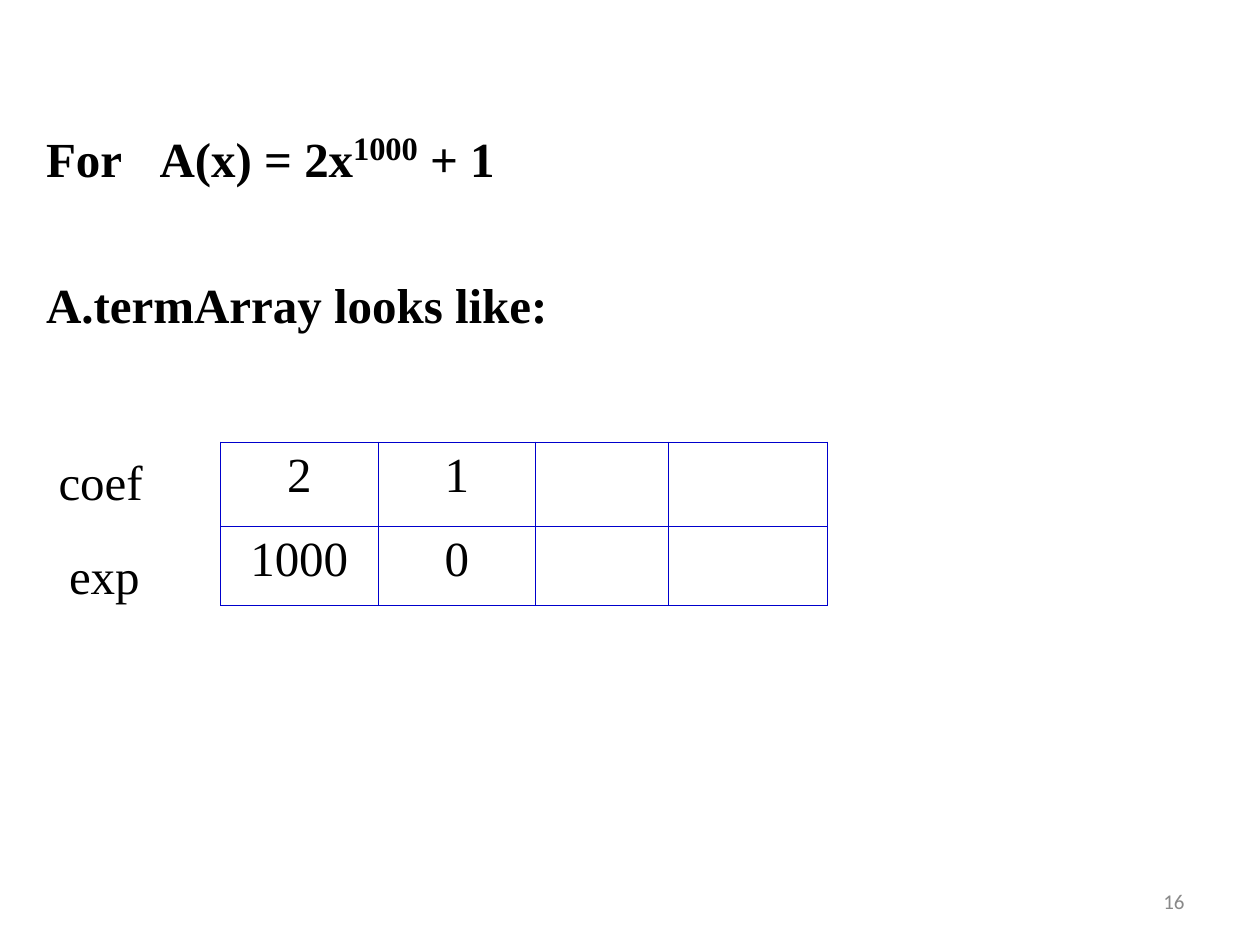
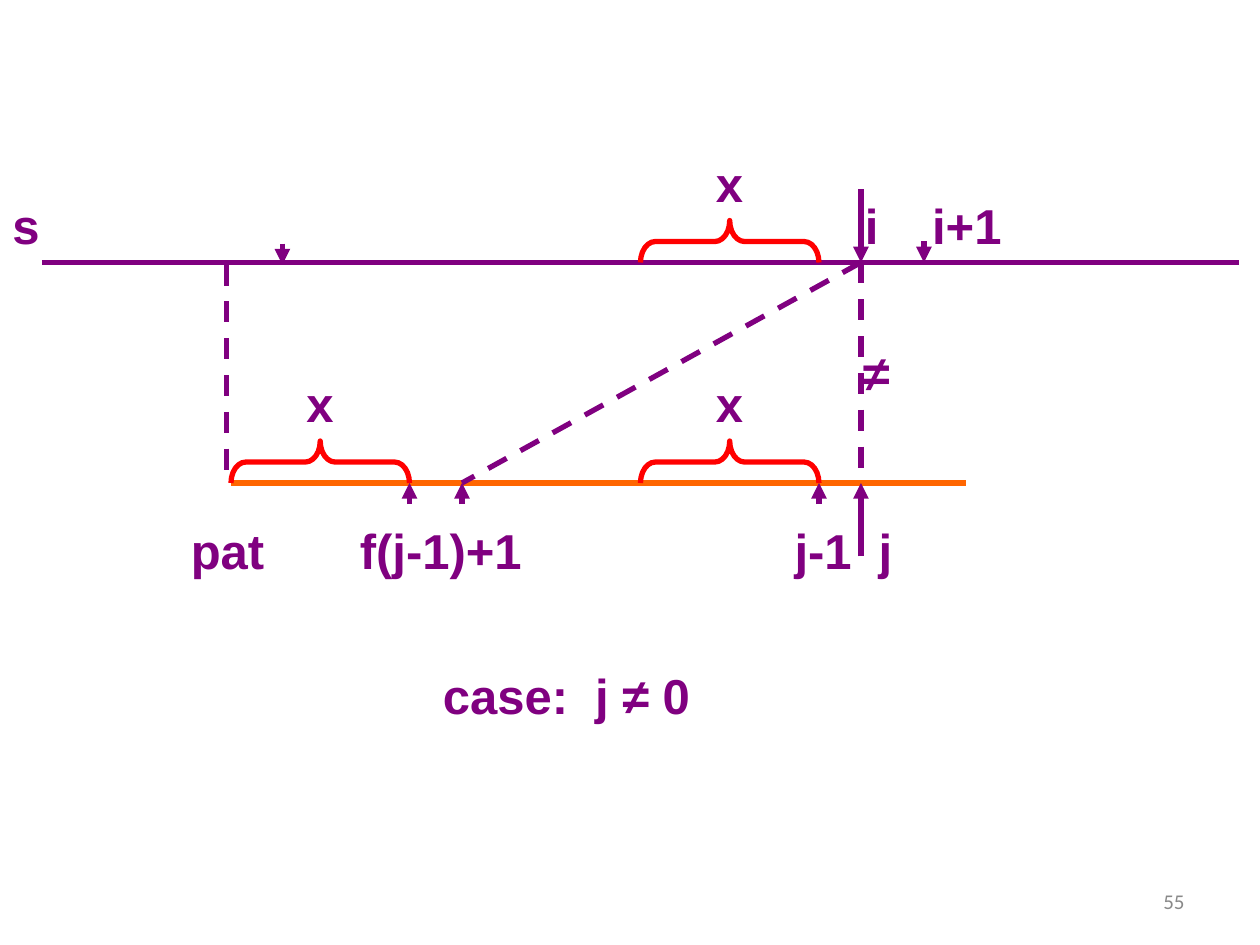
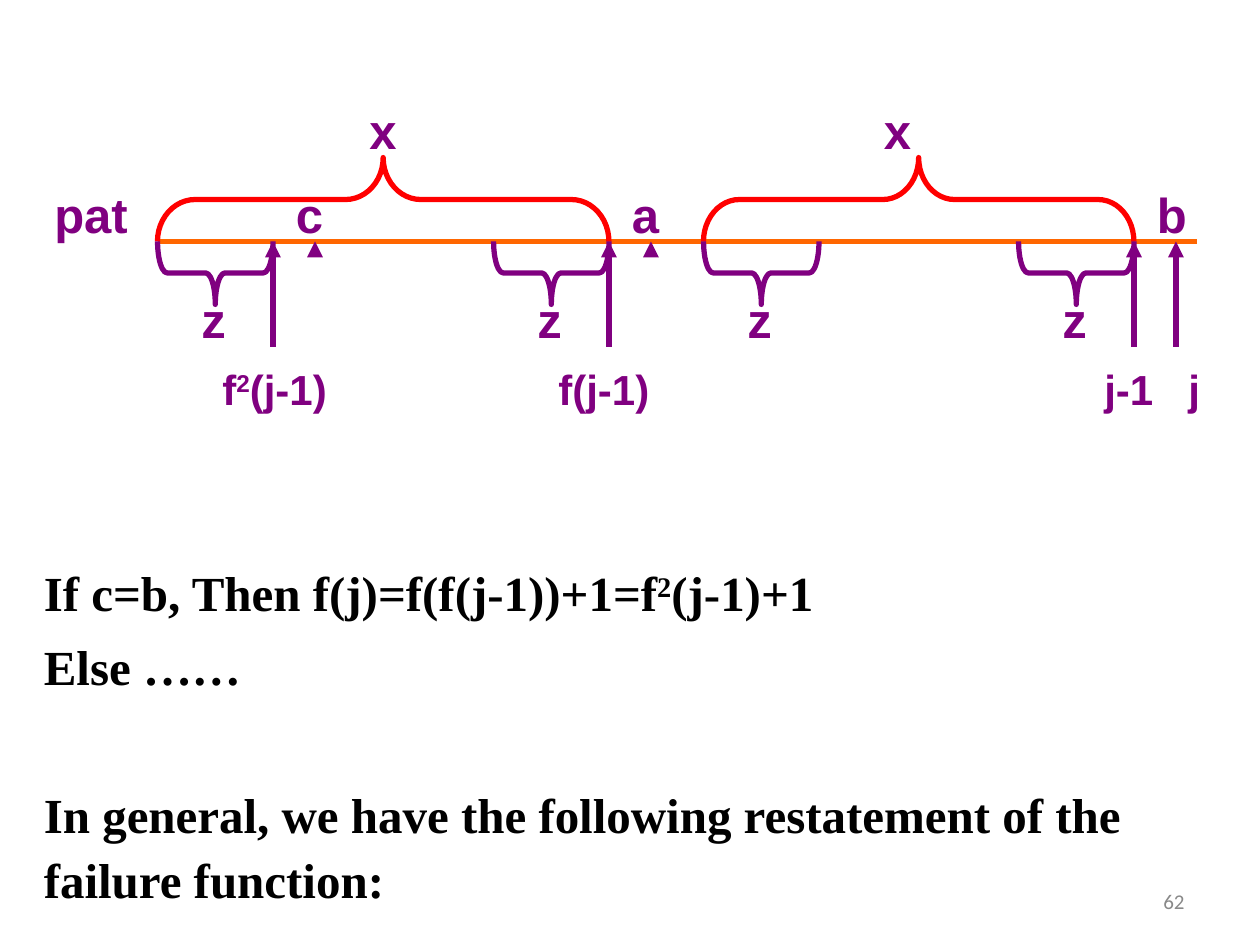
from typing import NamedTuple

from pptx import Presentation
from pptx.dml.color import RGBColor
from pptx.enum.dml import MSO_LINE
from pptx.enum.shapes import MSO_CONNECTOR, MSO_SHAPE
from pptx.enum.text import MSO_ANCHOR, PP_ALIGN
from pptx.oxml.ns import qn
from pptx.util import Emu, Pt
from lxml.etree import SubElement

PX = 914400 // 120
COLORS = {
    "text": "000000",
    "label": "800080",
    "pattern": "FF6600",
    "match": "FF0000",
    "grid": "0000CC",
    "number": "898989",
}
SERIF, SANS = "Times New Roman", "Arial"


class Para(NamedTuple):
    """One paragraph; parts between carets are raised."""
    text: str
    before: float = 0
    tabs: tuple[int, ...] = ()
    spacing: float | None = None


class Line(NamedTuple):
    """A straight line, optionally dashed or with an arrowhead at its end."""
    x1: int
    y1: int
    x2: int
    y2: int
    color: str = "label"
    dash: bool = False
    arrow: bool = False


class Brace(NamedTuple):
    """A horizontal brace standing on the line y, its tip up or down."""
    x1: int
    x2: int
    y: int
    depth: int
    color: str = "match"
    up: bool = True


class Label(NamedTuple):
    """A short diagram label."""
    text: str
    x: int
    y: int
    w: int = 50
    size: int = 28
    tabs: tuple[int, ...] = ()


def px(n: float) -> Emu:
    """Turn px into EMU."""
    return Emu(round(n * PX))


def rgb(name: str) -> RGBColor:
    """Look up a named colour."""
    return RGBColor.from_string(COLORS[name])


def write(tf, paras: list[Para], *, font: str = SERIF, size: int = 28, color: str = "text",
          bold: bool = False, align=PP_ALIGN.LEFT, raised: int | None = None) -> None:
    """Fill a text frame with formatted paragraphs."""
    for i, para in enumerate(paras):
        p = tf.paragraphs[0] if i == 0 else tf.add_paragraph()
        p.alignment = align
        p.space_before = Pt(para.before)
        if para.spacing:
            p.line_spacing = para.spacing
        if para.tabs:
            tabs = SubElement(p._p.get_or_add_pPr(), qn("a:tabLst"))
            for pos in para.tabs:
                SubElement(tabs, qn("a:tab"), pos=str(px(pos)), algn="l")
        for k, part in enumerate(para.text.split("^")):
            r = p.add_run()
            r.text = part
            f = r.font
            f.name, f.bold = font, bold
            f.size = Pt(raised if k % 2 and raised else size)
            f.color.rgb = rgb(color)
            if k % 2:
                r._r.get_or_add_rPr().set("baseline", "30000")


def add_text(s, x: int, y: int, w: int, h: int, paras: list[Para], *,
             inset: tuple[int, int] = (12, 6), anchor=MSO_ANCHOR.TOP, **fmt) -> None:
    """Add a wrapping text box."""
    tf = s.shapes.add_textbox(px(x), px(y), px(w), px(h)).text_frame
    tf.word_wrap = True
    tf.vertical_anchor = anchor
    tf.margin_left = tf.margin_right = px(inset[0])
    tf.margin_top = tf.margin_bottom = px(inset[1])
    write(tf, paras, **fmt)


def add_labels(s, labels: list[Label]) -> None:
    """Add bold diagram labels."""
    for b in labels:
        add_text(s, b.x, b.y, b.w, 68 if b.size == 28 else 60, [Para(b.text, tabs=b.tabs)],
                 font=SANS, size=b.size, color="label", bold=True)


def add_lines(s, lines: list[Line]) -> None:
    """Add connectors."""
    for d in lines:
        c = s.shapes.add_connector(MSO_CONNECTOR.STRAIGHT, px(d.x1), px(d.y1), px(d.x2), px(d.y2))
        c.line.color.rgb = rgb(d.color)
        c.line.width = Pt(3)
        if d.dash:
            c.line.dash_style = MSO_LINE.DASH
        if d.arrow:
            SubElement(c.line._get_or_add_ln(), qn("a:tailEnd"), type="triangle")
        SubElement(c._element.spPr, qn("a:effectLst"))


def add_braces(s, braces: list[Brace]) -> None:
    """Add right braces turned so that the tip points up or down."""
    for b in braces:
        length = b.x2 - b.x1
        cy = b.y - b.depth / 2 if b.up else b.y + b.depth / 2
        sp = s.shapes.add_shape(MSO_SHAPE.RIGHT_BRACE, px((b.x1 + b.x2 - b.depth) / 2),
                                px(cy - length / 2), px(b.depth), px(length))
        sp.rotation = 270 if b.up else 90
        sp.adjustments[0] = length / 12 / b.depth
        sp.shadow.inherit = False
        sp.fill.background()
        sp.line.color.rgb = rgb(b.color)
        sp.line.width = Pt(3)


def add_grid(s, x: int, y: int, cols: list[int], rows: list[int], values: list[list[str]]) -> None:
    """Add a table with thin borders and no fill."""
    table = s.shapes.add_table(len(rows), len(cols), px(x), px(y),
                               px(sum(cols)), px(sum(rows))).table
    table.first_row = table.horz_banding = False
    for column, w in zip(table.columns, cols):
        column.width = px(w)
    for i, (row, h) in enumerate(zip(table.rows, rows)):
        row.height = px(h)
        for cell, value in zip(row.cells, values[i]):
            if value:
                write(cell.text_frame, [Para(value)], align=PP_ALIGN.CENTER)
            tcPr = cell._tc.get_or_add_tcPr()
            for side in ("lnL", "lnR", "lnT", "lnB"):
                ln = SubElement(tcPr, qn(f"a:{side}"), w=str(Pt(0.45)))
                fill = SubElement(ln, qn("a:solidFill"))
                SubElement(fill, qn("a:srgbClr"), val=COLORS["grid"])
            cell.fill.background()


def new_slide(prs, number: int):
    """Add a blank slide with its number."""
    s = prs.slides.add_slide(prs.slide_layouts[6])
    add_text(s, 860, 834, 280, 48, [Para(str(number))], anchor=MSO_ANCHOR.MIDDLE,
             font="Calibri", size=12, color="number", align=PP_ALIGN.RIGHT)
    return s


def term_array_slide(prs) -> None:
    """Show the term array of a sparse polynomial."""
    s = new_slide(prs, 16)
    add_text(s, 30, 109, 1140, 215,
             [Para("For\tA(x) = 2x^1000^ + 1", tabs=(108,)),
              Para("A.termArray looks like:", before=49)],
             inset=(14, 7), bold=True, raised=32)
    add_grid(s, 210, 421, [150, 150, 127, 151], [80, 76],
             [["2", "1", "", ""], ["1000", "0", "", ""]])
    add_text(s, 44, 424, 130, 68, [Para("coef")])
    add_text(s, 54, 514, 130, 68, [Para("exp")])


def mismatch_slide(prs) -> None:
    """Show how the pattern moves after a mismatch."""
    s = new_slide(prs, 55)
    text_y, pat_y = 250, 460
    add_labels(s, [Label("s\ti\ti+1", 0, 180, 1150, tabs=(812, 876))])
    add_lines(s, [
        Line(40, text_y, 1180, text_y),
        Line(220, pat_y, 920, pat_y, "pattern"),
        Line(820, text_y, 820, pat_y, dash=True),
        Line(820, text_y, 440, pat_y, dash=True),
        Line(216, 252, 216, 462, dash=True),
        Line(820, 180, 820, text_y, arrow=True),
        Line(820, 530, 820, pat_y, arrow=True),
        Line(880, 230, 880, text_y, arrow=True),
        Line(269, 232, 269, 252, arrow=True),
        *(Line(x, pat_y + 20, x, pat_y, arrow=True) for x in (390, 440, 780)),
    ])
    matches = [(220, pat_y), (610, text_y), (610, pat_y)]
    add_braces(s, [Brace(x, x + 170, y, 40) for x, y in matches])
    add_labels(s, [Label("x", x + 60, y - 110) for x, y in matches])
    add_labels(s, [Label("≠", 810, 320)])
    add_text(s, 170, 490, 820, 204,
             [Para("pat\tf(j-1)+1\tj-1\tj", tabs=(161, 575, 655)),
              Para("\tcase:\tj ≠ 0", before=49, tabs=(240, 385))],
             font=SANS, color="label", bold=True)


def failure_slide(prs) -> None:
    """Show the repeated use of the failure function."""
    s = new_slide(prs, 62)
    pat_y = 230
    z_starts = (150, 470, 670, 970)
    add_lines(s, [Line(150, pat_y, 1140, pat_y, "pattern")])
    add_braces(s, [Brace(150, 580, pat_y, 80), Brace(670, 1080, pat_y, 80)])
    add_braces(s, [Brace(x, x + 110, pat_y, 60, "label", up=False) for x in z_starts])
    add_lines(s, [Line(x, 330, x, pat_y, arrow=True) for x in (260, 580, 1080, 1120)])
    add_lines(s, [Line(x, 240, x, pat_y, arrow=True) for x in (300, 620)])
    add_labels(s, [
        Label("x", 340, 90), Label("x", 830, 90),
        Label("pat", 40, 170, 110),
        Label("c", 270, 170), Label("a", 590, 170), Label("b", 1090, 170),
        *(Label("z", x + 30, 270) for x in z_starts),
        Label("f^2^(j-1)", 200, 340, 163, 24),
        Label("f(j-1)", 520, 340, 120, 24),
        Label("j-1\tj", 1040, 340, 130, 24, (80,)),
    ])
    add_text(s, 30, 530, 1140, 337,
             [Para("If c=b, Then f(j)=f(f(j-1))+1=f^2^(j-1)+1"),
              Para("Else ……", before=8.4),
              Para("In general, we have the following restatement of the failure function:",
                   before=48, spacing=1.1)],
             bold=True)


def main() -> None:
    """Build and save the slides."""
    prs = Presentation()
    prs.slide_width, prs.slide_height = px(1200), px(900)
    term_array_slide(prs)
    mismatch_slide(prs)
    failure_slide(prs)
    prs.save("out.pptx")


if __name__ == "__main__":
    main()
